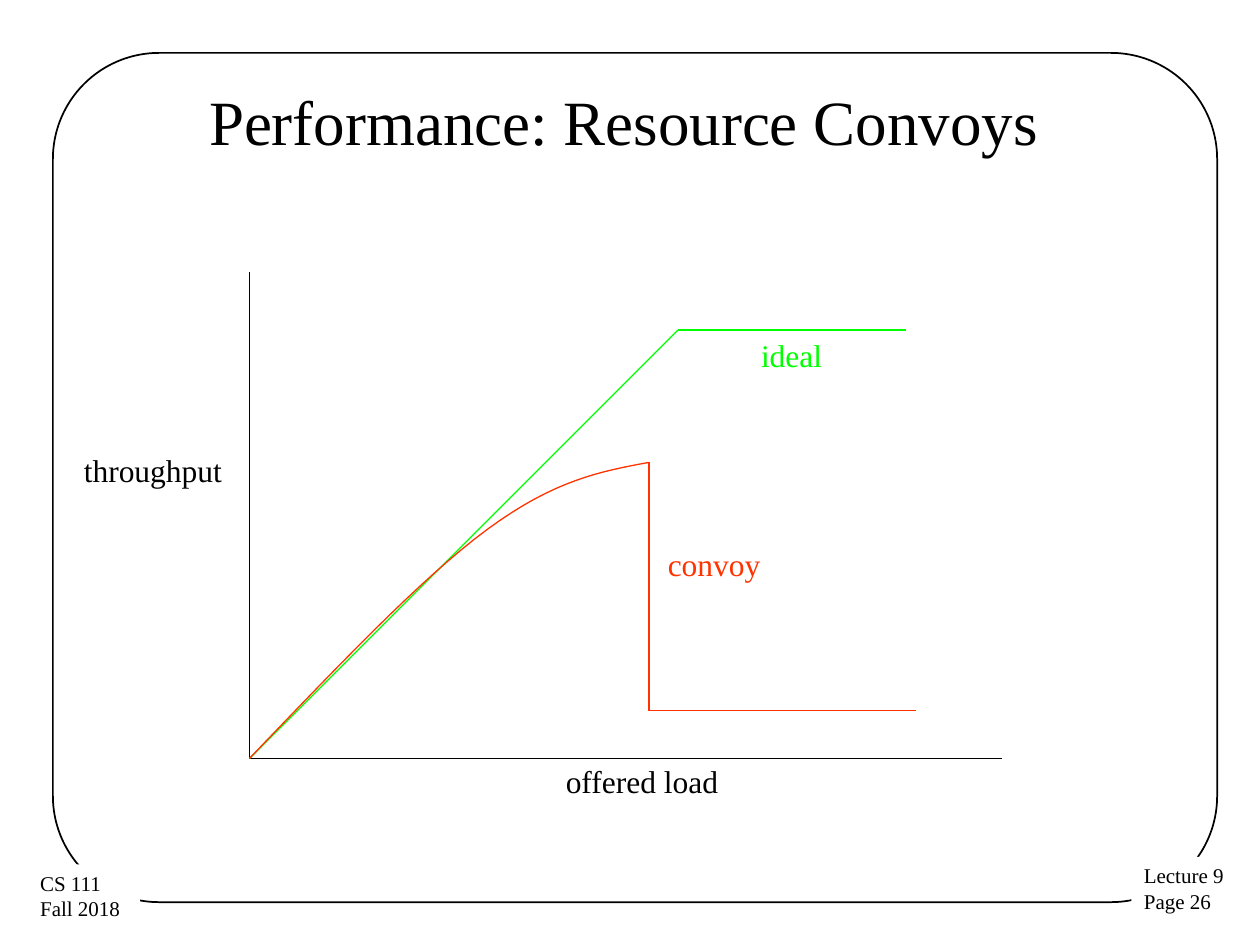
from pptx import Presentation
from pptx.dml.color import RGBColor
from pptx.enum.shapes import MSO_CONNECTOR as Connector, MSO_SHAPE as Shape
from pptx.enum.text import MSO_ANCHOR as Anchor, PP_ALIGN as Align
from pptx.oxml.ns import qn
from pptx.util import Inches, Pt
from lxml.etree import SubElement

COLUMNS, ROWS = 100, 75
WIDTH, HEIGHT = Inches(10), Inches(7.5)
FONT = "Times New Roman"
COLORS = {"ink": "000000", "paper": "FFFFFF", "ideal": "00FF00", "convoy": "FF3300"}

ORIGIN = (19.8, 60.2)
KNEE = (53.8, 26.2)
PEAK = (51.5, 36.7)
FLOOR = (51.5, 56.4)
BEND = (38.7, 42)
CURVES = [
    (ORIGIN, (26.6, 53.1), (33.4, 45.9), BEND),
    (BEND, (44, 38.1), (47.7, 37.4), PEAK),
]


def color(name):
    return RGBColor.from_string(COLORS[name])


def grid(column, row):
    return round(WIDTH * column / COLUMNS), round(HEIGHT * row / ROWS)


def style_line(shape, name, points=0.75):
    shape.line.color.rgb = color(name)
    shape.line.width = Pt(points)


def add_frame(slide):
    frame = slide.shapes.add_shape(Shape.ROUNDED_RECTANGLE, *grid(4.2, 4.2), *grid(92.4, 67.4))
    frame.adjustments[0] = 0.125
    frame.shadow.inherit = False
    frame.fill.background()
    style_line(frame, "ink", 1)


def add_text(slide, place, size, lines, points=18, name="ink", align=Align.LEFT,
             inset=0.09, wrap=False, anchor=Anchor.TOP, fill=None):
    box = slide.shapes.add_textbox(*grid(*place), *grid(*size))
    if fill:
        box.fill.solid()
        box.fill.fore_color.rgb = color(fill)
    frame = box.text_frame
    frame.word_wrap = wrap
    frame.vertical_anchor = anchor
    frame.margin_left = frame.margin_right = Inches(inset)
    frame.margin_top = frame.margin_bottom = Inches(0.05)
    for index, line in enumerate(lines):
        paragraph = frame.add_paragraph() if index else frame.paragraphs[0]
        paragraph.alignment = align
        run = paragraph.add_run()
        run.text = line
        run.font.name = FONT
        run.font.size = Pt(points)
        run.font.color.rgb = color(name)


def add_path(slide, points, name):
    for start, end in zip(points, points[1:]):
        connector = slide.shapes.add_connector(Connector.STRAIGHT, *grid(*start), *grid(*end))
        style_line(connector, name)
        SubElement(connector._element.spPr, qn("a:effectLst"))


def bezier(controls, t):
    weights = ((1 - t) ** 3, 3 * t * (1 - t) ** 2, 3 * t ** 2 * (1 - t), t ** 3)
    return grid(*(sum(w * value for w, value in zip(weights, axis)) for axis in zip(*controls)))


def add_curve(slide, curves, name, steps=16):
    points = [bezier(controls, step / steps) for controls in curves for step in range(1, steps + 1)]
    builder = slide.shapes.build_freeform(*grid(*curves[0][0]))
    builder.add_line_segments(points, close=False)
    curve = builder.convert_to_shape()
    curve.shadow.inherit = False
    curve.fill.background()
    style_line(curve, name)


def main():
    presentation = Presentation()
    presentation.slide_width, presentation.slide_height = WIDTH, HEIGHT
    slide = presentation.slides.add_slide(presentation.slide_layouts[6])

    add_frame(slide)
    footer = {"points": 12, "inset": 0.1, "fill": "paper"}
    add_text(slide, (89.8, 68), (8.5, 5.1), ["Lecture 9", "Page 26"], **footer)
    add_text(slide, (2.2, 68.6), (8.9, 5.1), ["CS 111", "Fall 2018"], **footer)
    add_text(slide, (6.8, 3.3), (85.4, 12.5), ["Performance: Resource Convoys"], points=36,
             align=Align.CENTER, wrap=True, anchor=Anchor.MIDDLE)

    add_path(slide, [(19.8, 21.6), ORIGIN, (79.5, 60.2)], "ink")
    add_text(slide, (5.7, 35.3), (13.5, 3.9), ["throughput "], align=Align.CENTER)
    add_text(slide, (44, 60), (14.1, 3.9), ["offered load"])

    add_path(slide, [ORIGIN, KNEE, (71.9, 26.2)], "ideal")
    add_text(slide, (59.5, 26.2), (6.7, 3.9), ["ideal"], name="ideal")

    add_curve(slide, CURVES, "convoy")
    add_path(slide, [PEAK, FLOOR, (72.7, 56.4)], "convoy")
    add_text(slide, (52.1, 42.8), (9.3, 3.9), ["convoy"], name="convoy")

    presentation.save("out.pptx")


if __name__ == "__main__":
    main()
